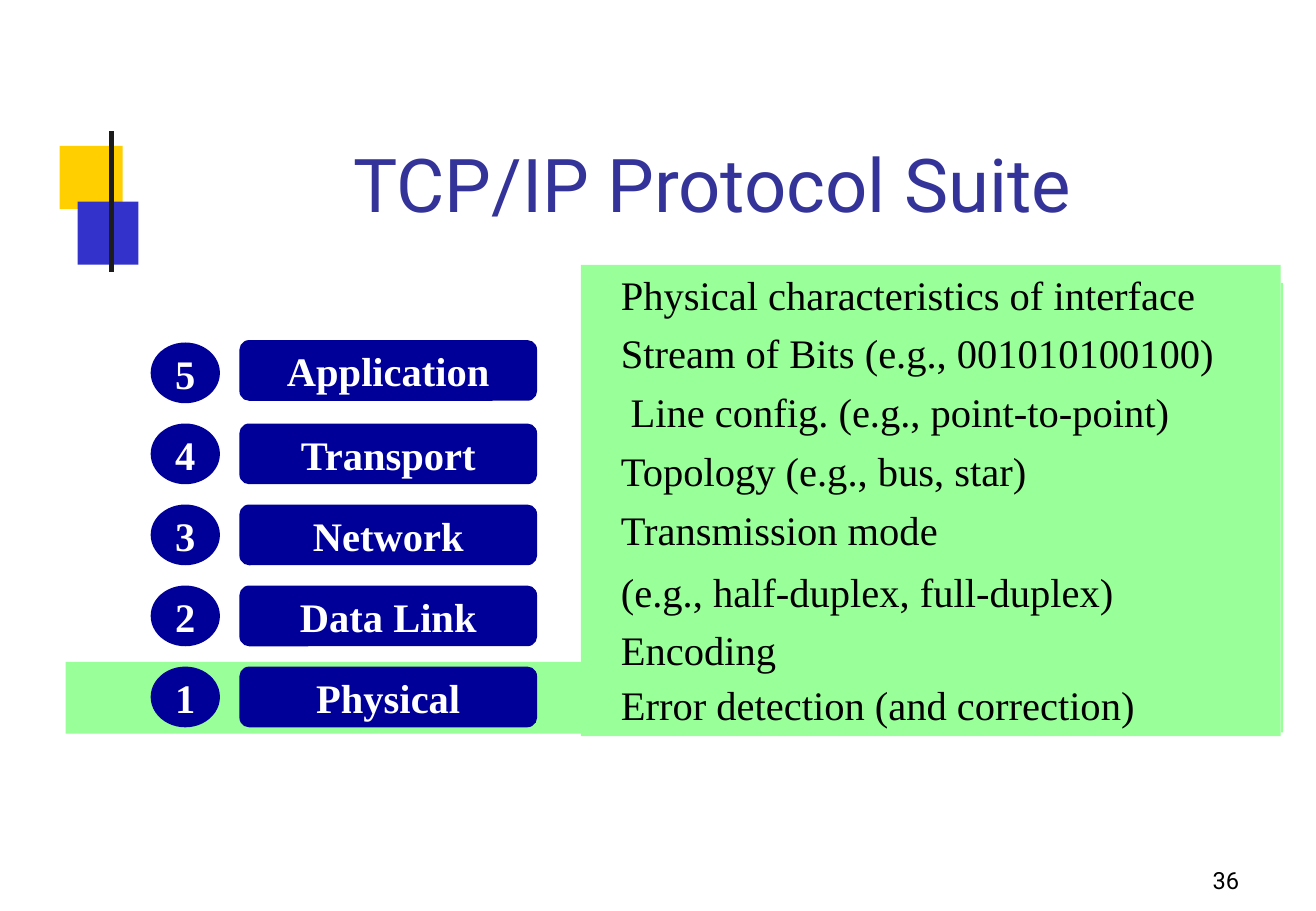
from dataclasses import dataclass
from pptx import Presentation
from pptx.dml.color import RGBColor
from pptx.enum.shapes import MSO_CONNECTOR, MSO_SHAPE
from pptx.enum.text import MSO_ANCHOR, PP_ALIGN
from pptx.oxml.ns import qn
from pptx.util import Inches, Pt
from lxml.etree import SubElement

TITLE = "TCP/IP Protocol Suite"
PAGE_NUMBER = "36"
LAYERS = [
    ("5", "Application", -0.02),
    ("4", "Transport", 0),
    ("3", "Network", 0),
    ("2", "Data Link", 0),
    ("1", "Physical", 0),
]
DUTIES = [
    ("Physical characteristics of interface", 0, 0),
    ("Stream of Bits (e.g., 001010100100)", 6, 0),
    ("Line config. (e.g., point-to-point)", 6, 0.08),
    ("Topology (e.g., bus, star)", 6, 0),
    ("Transmission mode", 6, 0),
    ("(e.g., half-duplex, full-duplex)", 8, 0),
    ("Encoding", 6, 0),
    ("Error detection (and correction)", 3.8, 0),
]


@dataclass(frozen=True)
class Theme:
    yellow: str = "FFCF00"
    blue: str = "3333CC"
    rule: str = "1C1C1C"
    green: str = "99FF99"
    navy: str = "000099"
    title: str = "333399"
    white: str = "FFFFFF"
    black: str = "000000"
    heading_font: str = "Roboto"
    body_font: str = "Times New Roman"
    title_size: float = 44
    body_size: float = 24
    page_size: float = 14


theme = Theme()
LAYER_TOP, LAYER_PITCH, LAYER_HEIGHT = 2.82, 0.667, 0.5
BADGE_LEFT, BADGE_WIDTH = 1.24, 0.57
BOX_LEFT, BOX_WIDTH = 1.97, 2.45

presentation = Presentation()
presentation.slide_width = Inches(10.83)
presentation.slide_height = Inches(7.5)
slide = presentation.slides.add_slide(presentation.slide_layouts[5])


def set_font(paragraph, name, size, color, bold=False):
    font = paragraph.font
    font.name, font.size, font.bold = name, Pt(size), bold
    font.color.rgb = RGBColor.from_string(color)


def set_frame(frame, anchor, left=0, top=0):
    frame.margin_left, frame.margin_top = Inches(left), Inches(top)
    frame.margin_right = frame.margin_bottom = 0
    frame.vertical_anchor = anchor
    frame.word_wrap = True


def add_block(kind, left, top, width, height, color):
    shape = slide.shapes.add_shape(
        kind, Inches(left), Inches(top), Inches(width), Inches(height))
    shape.shadow.inherit = False
    shape.fill.solid()
    shape.fill.fore_color.rgb = RGBColor.from_string(color)
    shape.line.fill.background()
    return shape


def add_label(shape, text):
    set_frame(shape.text_frame, MSO_ANCHOR.MIDDLE)
    paragraph = shape.text_frame.paragraphs[0]
    paragraph.text = text
    paragraph.alignment = PP_ALIGN.CENTER
    set_font(paragraph, theme.body_font, theme.body_size, theme.white, True)


add_block(MSO_SHAPE.RECTANGLE, 0.49, 1.2, 0.52, 0.52, theme.yellow)
add_block(MSO_SHAPE.RECTANGLE, 0.64, 1.66, 0.5, 0.52, theme.blue)
rule = slide.shapes.add_connector(
    MSO_CONNECTOR.STRAIGHT, Inches(0.92), Inches(1.08), Inches(0.92), Inches(2.24))
rule.line.color.rgb = RGBColor.from_string(theme.rule)
rule.line.width = Pt(2.75)
SubElement(rule._element.spPr, qn("a:effectLst"))

title = slide.shapes.title
title.left, title.top = Inches(1.46), Inches(1.14)
title.width, title.height = Inches(8.81), Inches(0.73)
set_frame(title.text_frame, MSO_ANCHOR.TOP)
heading = title.text_frame.paragraphs[0]
heading.text = TITLE
heading.alignment = PP_ALIGN.CENTER
heading.line_spacing = Pt(52.5)
set_font(heading, theme.heading_font, theme.title_size, theme.title)

add_block(MSO_SHAPE.RECTANGLE, 0.54, 5.45, 4.24, 0.59, theme.green)
add_block(MSO_SHAPE.RECTANGLE, 10.54, 2.33, 0.02, 3.7, theme.green)
panel = add_block(MSO_SHAPE.RECTANGLE, 4.78, 2.18, 5.76, 3.88, theme.green)
set_frame(panel.text_frame, MSO_ANCHOR.TOP, left=0.33, top=0.04)
for index, (text, space_before, indent) in enumerate(DUTIES):
    frame = panel.text_frame
    paragraph = frame.add_paragraph() if index else frame.paragraphs[0]
    paragraph.text = text
    paragraph.alignment = PP_ALIGN.LEFT
    paragraph.line_spacing = Pt(28.8)
    paragraph.space_before = Pt(space_before)
    paragraph._p.get_or_add_pPr().set("marL", str(Inches(indent)))
    set_font(paragraph, theme.body_font, theme.body_size, theme.black)

for index, (number, name, box_shift) in enumerate(LAYERS):
    top = LAYER_TOP + index * LAYER_PITCH
    badge = add_block(
        MSO_SHAPE.OVAL, BADGE_LEFT, top, BADGE_WIDTH, LAYER_HEIGHT, theme.navy)
    box = add_block(MSO_SHAPE.ROUNDED_RECTANGLE, BOX_LEFT, top + box_shift,
                    BOX_WIDTH, LAYER_HEIGHT, theme.navy)
    box.adjustments[0] = 0.16
    add_label(badge, number)
    add_label(box, name)

page = slide.shapes.add_textbox(Inches(9.95), Inches(7.07), Inches(0.36), Inches(0.31))
set_frame(page.text_frame, MSO_ANCHOR.TOP, left=0.03, top=0.06)
page_text = page.text_frame.paragraphs[0]
page_text.text = PAGE_NUMBER
set_font(page_text, theme.heading_font, theme.page_size, theme.black)

presentation.save("out.pptx")
